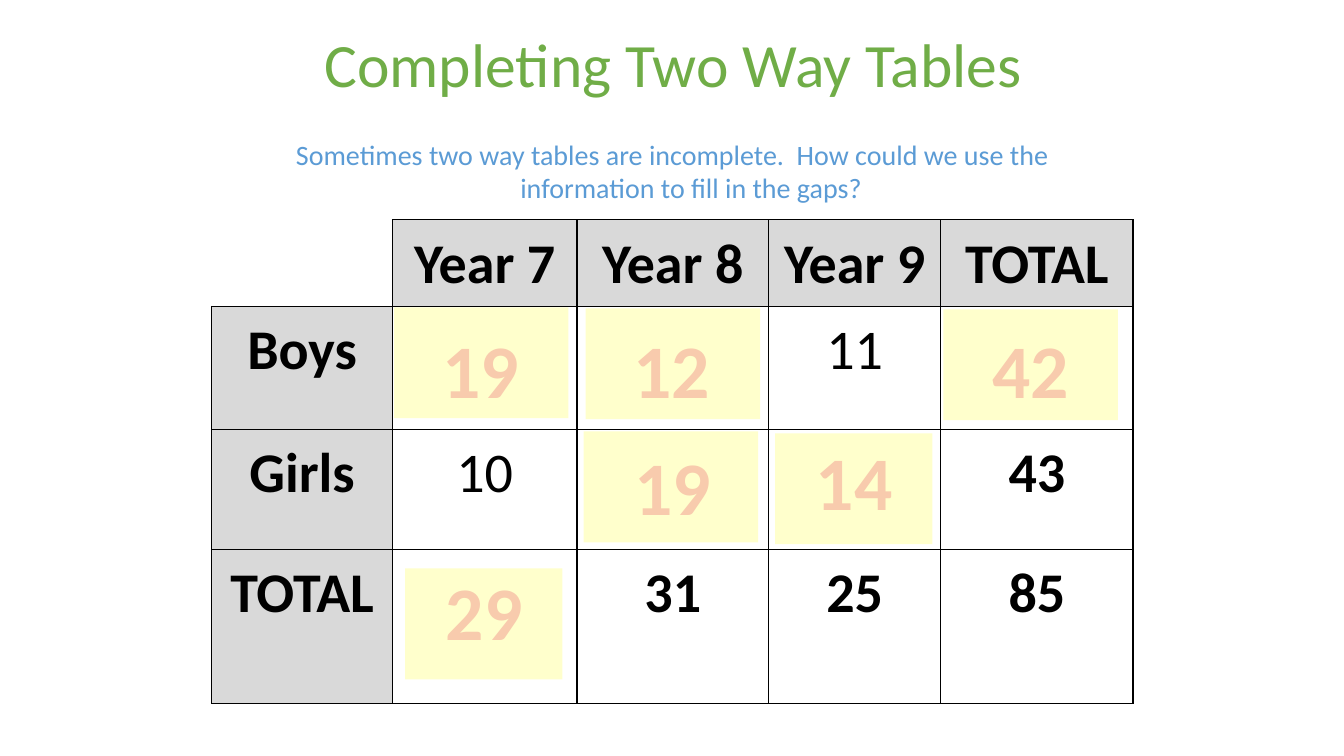
from lxml import etree
from pptx import Presentation
from pptx.dml.color import RGBColor
from pptx.enum.shapes import MSO_SHAPE
from pptx.enum.text import MSO_AUTO_SIZE, PP_ALIGN
from pptx.oxml.ns import qn
from pptx.util import Pt

# Content
TITLE = "Completing Two Way Tables"
QUESTION = ("Sometimes two way tables are incomplete.  "
            "How could we use the information to fill in the gaps?")
PUPILS = [
    ["", "Year 7", "Year 8", "Year 9", "TOTAL"],
    ["Boys", "", "", "11", ""],
    ["Girls", "10", "", "", "43"],
    ["TOTAL", "", "31", "25", "85"],
]
# Answer, card left, top and width, number left and top
ANSWERS = [
    ("19", 281.5, 219.6, 124.6, 308.2, 226.8),
    ("12", 418.3, 220.3, 124.6, 445, 226.8),
    ("42", 673.9, 221, 124.6, 701.3, 226.8),
    ("19", 416.9, 308.2, 124.6, 445.7, 311),
    ("14", 553.7, 309.6, 112.3, 575.3, 307.4),
    ("29", 289.4, 406.1, 112.3, 311, 400.3),
]

# Layout and style
COLUMNS = [129.2, 131.8, 136.8, 123.1, 137.2]
ROWS = [61.9, 87.8, 85.7, 110.2]
TABLE_LEFT, TABLE_TOP = 151.2, 157
CARD_HEIGHT = 79.2
NUMBER_WIDTH, NUMBER_HEIGHT = 69.8, 72.7
HANGING = 27
FONT = "Calibri"
BLACK = RGBColor(0x00, 0x00, 0x00)
GREY = RGBColor(0xD9, 0xD9, 0xD9)
GREEN = RGBColor(0x70, 0xAD, 0x47)
BLUE = RGBColor(0x5B, 0x9B, 0xD5)
YELLOW = RGBColor(0xFF, 0xFF, 0xCC)
PEACH = RGBColor(0xF8, 0xCB, 0xAD)
ORANGE = RGBColor(0xED, 0x7D, 0x31)


def add_line(parent, tag, width, color, position):
    """Insert a line element; no color means an invisible line."""
    line = etree.Element(qn(tag), w=str(Pt(width)))
    if color is None:
        etree.SubElement(line, qn("a:noFill"))
    else:
        solid = etree.SubElement(line, qn("a:solidFill"))
        etree.SubElement(solid, qn("a:srgbClr"), val=str(color))
    parent.insert(position, line)


def style(paragraph, size, color, bold=False):
    paragraph.alignment = PP_ALIGN.CENTER
    for run in paragraph.runs:
        run.font.name = FONT
        run.font.size = Pt(size)
        run.font.bold = bold
        run.font.color.rgb = color


def add_text(slide, text, box, size, color, bold=False, wrap=True):
    frame = slide.shapes.add_textbox(*map(Pt, box)).text_frame
    frame.word_wrap = wrap
    frame.text = text
    style(frame.paragraphs[0], size, color, bold)
    return frame


def add_pupil_table(slide):
    table = slide.shapes.add_table(
        len(ROWS), len(COLUMNS), Pt(TABLE_LEFT), Pt(TABLE_TOP),
        Pt(sum(COLUMNS)), Pt(sum(ROWS))).table
    table.first_row = table.horz_banding = False
    for column, width in zip(table.columns, COLUMNS):
        column.width = Pt(width)
    for row, height in zip(table.rows, ROWS):
        row.height = Pt(height)

    for r, values in enumerate(PUPILS):
        for c, value in enumerate(values):
            cell = table.cell(r, c)
            cell.margin_left = cell.margin_right = Pt(5)
            cell.margin_top = cell.margin_bottom = 0
            corner = r == c == 0
            heading = (r == 0 or c == 0) and not corner
            if heading:
                cell.fill.solid()
                cell.fill.fore_color.rgb = GREY
            else:
                cell.fill.background()
            total = "TOTAL" in (PUPILS[0][c], values[0])
            cell.text = value
            paragraph = cell.text_frame.paragraphs[0]
            paragraph.line_spacing = 1.15
            style(paragraph, 40, BLACK, heading or total)
            # The corner is open at its left and top
            for i, side in enumerate("LRTB"):
                color = None if corner and side in "LT" else BLACK
                add_line(cell._tc.get_or_add_tcPr(), f"a:ln{side}", 1, color, i)


def add_answer(slide, answer, left, top, width, number_left, number_top):
    card = slide.shapes.add_shape(
        MSO_SHAPE.RECTANGLE, Pt(left), Pt(top), Pt(width), Pt(CARD_HEIGHT))
    card.shadow.inherit = False
    card.fill.solid()
    card.fill.fore_color.rgb = YELLOW
    card.line.fill.background()
    number = add_text(slide, answer,
                      (number_left, number_top, NUMBER_WIDTH, NUMBER_HEIGHT),
                      54, PEACH, bold=True, wrap=False)
    number.auto_size = MSO_AUTO_SIZE.SHAPE_TO_FIT_TEXT
    run = number.paragraphs[0].runs[0]
    add_line(run._r.get_or_add_rPr(), "a:ln", 1.75, ORANGE, 0)


def main():
    deck = Presentation()
    deck.slide_width, deck.slide_height = Pt(960), Pt(540)
    slide = deck.slides.add_slide(deck.slide_layouts[6])

    # Table, heading and question
    add_pupil_table(slide)
    add_text(slide, TITLE, (157, 15, 648, 90), 44, GREEN)
    question = add_text(slide, QUESTION, (156.2, 94.3, 648, 430.6), 20, BLUE)
    indents = question.paragraphs[0]._p.get_or_add_pPr()
    indents.set("marL", str(Pt(HANGING)))
    indents.set("indent", str(Pt(-HANGING)))

    # Answers over the gaps
    for answer in ANSWERS:
        add_answer(slide, *answer)

    deck.save("out.pptx")


if __name__ == "__main__":
    main()
